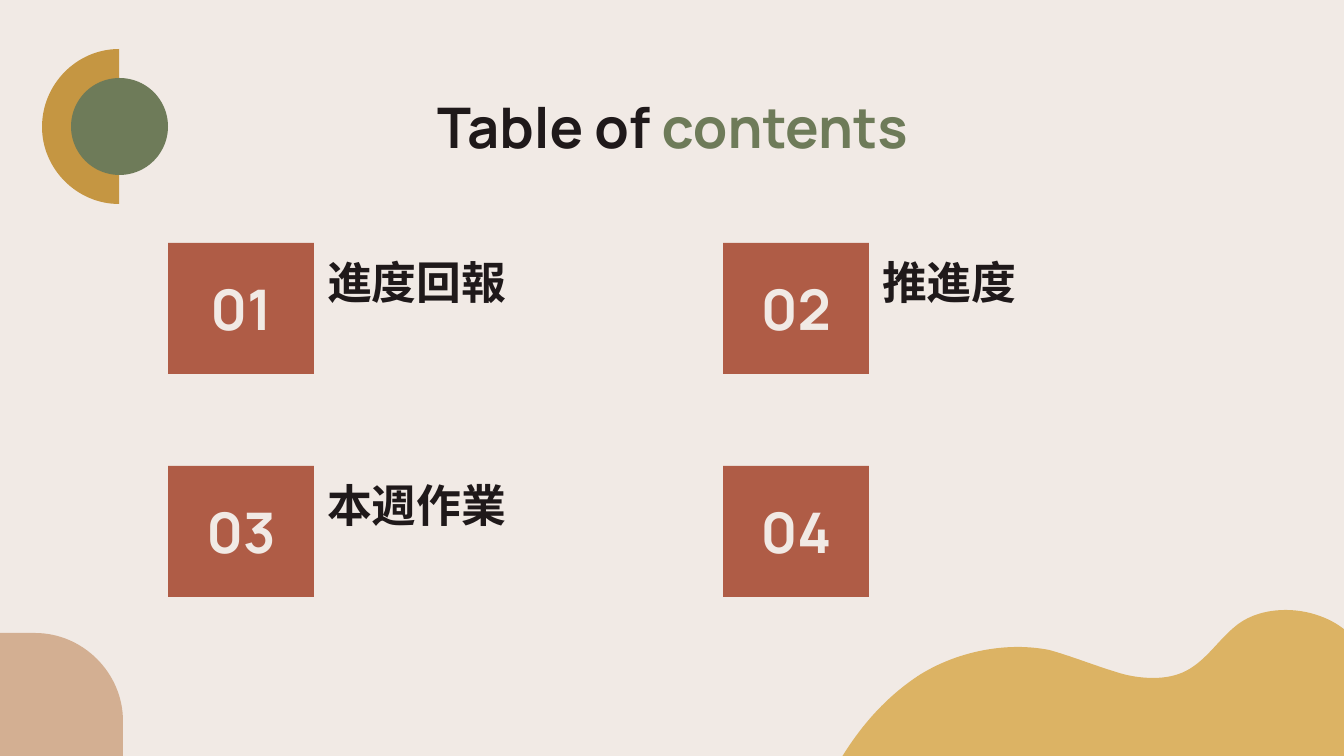
"""Build a table of contents slide with four numbered blocks and organic corner shapes."""
from lxml import etree
from pptx import Presentation
from pptx import util as u
from pptx.dml.color import RGBColor
from pptx.enum import shapes, text
from pptx.oxml.ns import qn

PX = 914400 / 134.4
CREAM = RGBColor(0xF1, 0xEA, 0xE5)
INK = RGBColor(0x1F, 0x19, 0x1A)
GREEN = RGBColor(0x6E, 0x7B, 0x59)
RUST = RGBColor(0xAF, 0x5C, 0x46)
OCHRE = RGBColor(0xC5, 0x96, 0x42)
GOLD = RGBColor(0xDC, 0xB3, 0x64)
TAN = RGBColor(0xD3, 0xAF, 0x92)
LATIN_FONT = "Manrope"
CHINESE_FONT = "Noto Sans CJK TC"


def px(*lengths):
    return [u.Emu(round(length * PX)) for length in lengths]


def write(shape, pieces, size, font, align, anchor):
    frame = shape.text_frame
    frame.word_wrap = True
    frame.vertical_anchor = anchor
    frame.margin_left = frame.margin_right = u.Inches(0.1)
    frame.margin_top = frame.margin_bottom = u.Inches(0.1)
    paragraph = frame.paragraphs[0]
    paragraph.alignment = align
    for words, color in pieces:
        run = paragraph.add_run()
        run.text = words
        run.font.size = u.Pt(size)
        run.font.bold = True
        run.font.name = font
        run.font.color.rgb = color
        etree.SubElement(run.font._element, qn("a:ea"), typeface=CHINESE_FONT)


presentation = Presentation()
presentation.slide_width, presentation.slide_height = px(1344, 756)
slide = presentation.slides.add_slide(presentation.slide_layouts[6])
slide.background.fill.solid()
slide.background.fill.fore_color.rgb = CREAM

corner = [
    [(123, 721)],
    [(123, 673), (83, 633), (35, 633)],
    [(-1, 633)], [(-1, 757)], [(123, 757)],
]
wave = [
    [(1286, 610)],
    [(1312, 610), (1339, 621), (1353, 638)],
    [(1349, 765)], [(836, 767)],
    [(856, 732), (882, 700), (918, 676)],
    [(946, 658), (982, 647), (1018, 647)],
    [(1028, 647), (1039, 648), (1049, 650)],
    [(1071, 656), (1093, 665), (1116, 672)],
    [(1128, 676), (1141, 678), (1153, 678)],
    [(1165, 678), (1176, 676), (1186, 671)],
    [(1207, 660), (1218, 640), (1237, 625)],
    [(1250, 615), (1267, 610), (1286, 610)],
]
half_disc = [
    [(119, 49)], [(119, 204)],
    [(77, 204), (42, 169), (42, 127)],
    [(42, 84), (77, 49), (119, 49)],
]
for segments, color in ((corner, TAN), (wave, GOLD), (half_disc, OCHRE)):
    builder = slide.shapes.build_freeform(*px(*segments[0][-1]), scale=1.0)
    builder.add_line_segments([px(*segment[-1]) for segment in segments[1:]], close=True)
    shape = builder.convert_to_shape()
    shape.shadow.inherit = False
    shape.fill.solid()
    shape.fill.fore_color.rgb = color
    shape.line.fill.background()
    lines = list(shape._element.iter(qn("a:lnTo")))
    for line, segment in zip(lines, segments[1:]):
        if len(segment) == 3:
            curve = etree.Element(qn("a:cubicBezTo"))
            for x, y in map(lambda point: px(*point), segment):
                etree.SubElement(curve, qn("a:pt"), x=str(x - shape.left), y=str(y - shape.top))
            line.getparent().replace(line, curve)

disc = slide.shapes.add_shape(shapes.MSO_SHAPE.OVAL, *px(71, 78, 97, 97))
disc.shadow.inherit = False
disc.fill.solid()
disc.fill.fore_color.rgb = GREEN
disc.line.fill.background()

title = slide.shapes.add_textbox(*px(287, 79, 771, 70))
write(title, [("Table of ", INK), ("contents", GREEN)], 30, LATIN_FONT,
      text.PP_ALIGN.CENTER, text.MSO_ANCHOR.TOP)

sections = [
    ("進度回報", LATIN_FONT),
    ("推進度", CHINESE_FONT),
    ("本週作業", CHINESE_FONT),
    ("", CHINESE_FONT),
]
for index, (heading, font) in enumerate(sections):
    row, column = divmod(index, 2)
    left, top = 168 + 555 * column, 243 + 223 * row
    block = slide.shapes.add_shape(shapes.MSO_SHAPE.RECTANGLE, *px(left, top, 146, 131))
    block.shadow.inherit = False
    block.fill.solid()
    block.fill.fore_color.rgb = RUST
    block.line.fill.background()
    write(block, [(f"{index + 1:02}", CREAM)], 30, LATIN_FONT,
          text.PP_ALIGN.CENTER, text.MSO_ANCHOR.MIDDLE)
    if heading:
        label = slide.shapes.add_textbox(*px(left + 146, top + 14, 355, 65))
        write(label, [(heading, INK)], 24, font, text.PP_ALIGN.LEFT, text.MSO_ANCHOR.BOTTOM)

presentation.save("out.pptx")
